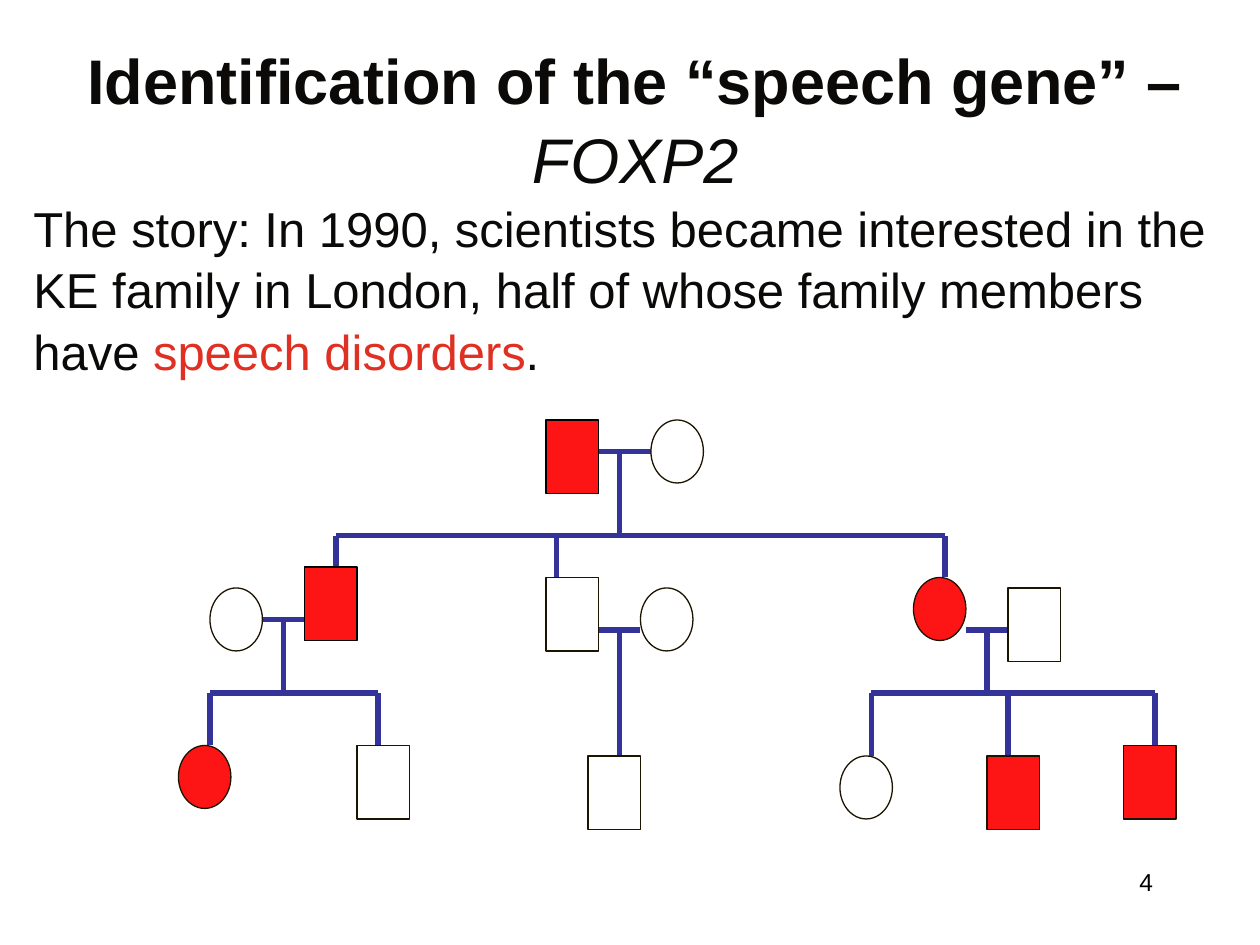
import dataclasses

import pptx
import pptx.dml.color
import pptx.enum.shapes
import pptx.enum.text
import pptx.oxml.ns
import pptx.util
from lxml import etree

SCALE = 9525
ALIGN = pptx.enum.text.PP_ALIGN
SHAPE = pptx.enum.shapes.MSO_SHAPE


def emu(*px):
    return [pptx.util.Emu(n * SCALE) for n in px]


def rgb(code):
    return pptx.dml.color.RGBColor.from_string(code)


@dataclasses.dataclass
class Theme:
    font: str = "Arial"
    ink: str = "0B0A09"
    black: str = "000000"
    white: str = "FFFFFF"
    accent: str = "DF3023"
    link: str = "333399"
    ill: str = "FD1515"
    edge: str = "1C1300"
    head: int = 36
    body: int = 28
    note: int = 14
    thick: float = 3
    thin: float = 0.75


def write(para, text, font, size, color, bold=False, italic=False):
    run = para.add_run()
    run.text = text
    run.font.name = font
    run.font.size = pptx.util.Pt(size)
    run.font.color.rgb = rgb(color)
    run.font.bold = bold
    run.font.italic = italic


class Board:
    def __init__(self, slide, theme):
        self.slide = slide
        self.theme = theme

    def text(self, box, runs, size, align=ALIGN.LEFT, fill=None, lead=1.05):
        item = self.slide.shapes.add_textbox(*emu(*box))
        if fill:
            item.fill.solid()
            item.fill.fore_color.rgb = rgb(fill)
        frame = item.text_frame
        frame.word_wrap = True
        para = frame.paragraphs[0]
        para.alignment = align
        para.line_spacing = lead
        for words, look in runs:
            style = {"color": self.theme.ink, **look}
            write(para, words, self.theme.font, size, **style)

    def line(self, x1, y1, x2, y2):
        kind = pptx.enum.shapes.MSO_CONNECTOR.STRAIGHT
        item = self.slide.shapes.add_connector(kind, *emu(x1, y1, x2, y2))
        item.line.color.rgb = rgb(self.theme.link)
        item.line.width = pptx.util.Pt(self.theme.thick)
        props = item._element.spPr
        etree.SubElement(props, pptx.oxml.ns.qn("a:effectLst"))

    def person(self, kind, x, y, high, ill, edge):
        item = self.slide.shapes.add_shape(kind, *emu(x, y, 40, high))
        item.shadow.inherit = False
        if ill:
            item.fill.solid()
            item.fill.fore_color.rgb = rgb(self.theme.ill)
        else:
            item.fill.background()
        item.line.color.rgb = rgb(edge)
        item.line.width = pptx.util.Pt(self.theme.thin)

    def male(self, x, y, ill=False, edge=None):
        self.person(SHAPE.RECTANGLE, x, y, 56, ill, edge or self.theme.edge)

    def female(self, x, y, ill=False):
        self.person(SHAPE.OVAL, x, y, 48, ill, self.theme.edge)

    def couple(self, left, right, y, stem, end):
        self.line(left, y, right, y)
        self.line(stem, y, stem, end)

    def brood(self, y, drops):
        self.line(drops[0][0], y, drops[-1][0], y)
        for x, end in drops:
            self.line(x, y, x, end)


def main():
    deck = pptx.Presentation()
    deck.slide_width, deck.slide_height = emu(960, 720)
    theme = Theme()
    board = Board(deck.slides.add_slide(deck.slide_layouts[6]), theme)

    board.text((688, 656, 200, 48), [("4", {"color": theme.black})],
               theme.note, ALIGN.RIGHT, lead=1.0)
    board.text((16, 24, 936, 125),
               [("Identification of the “speech gene” – ", {"bold": True}),
                ("FOXP2", {"italic": True})],
               theme.head, ALIGN.CENTER, theme.white)
    board.text((16, 144, 928, 144),
               [("The story: In 1990, scientists became interested in the "
                 "KE family in London, half of whose family members have ", {}),
                ("speech disorders", {"color": theme.accent}),
                (".", {})],
               theme.body)

    for pair in [(456, 496, 344, 472, 408), (200, 232, 472, 216, 528),
                 (456, 488, 480, 472, 576), (736, 768, 480, 752, 528)]:
        board.couple(*pair)
    board.brood(408, [(256, 432), (424, 440), (720, 440)])
    board.brood(528, [(160, 568), (288, 568)])
    board.brood(528, [(664, 576), (768, 576), (880, 576)])

    for x, y in [(232, 432), (416, 320)]:
        board.male(x, y, True, theme.black)
    for x, y in [(752, 576), (856, 568)]:
        board.male(x, y, True)
    for x, y in [(416, 440), (448, 576), (272, 568), (768, 448)]:
        board.male(x, y)
    for x, y in [(696, 440), (136, 568)]:
        board.female(x, y, True)
    for x, y in [(496, 320), (488, 448), (160, 448), (640, 576)]:
        board.female(x, y)

    deck.save("out.pptx")


if __name__ == "__main__":
    main()
